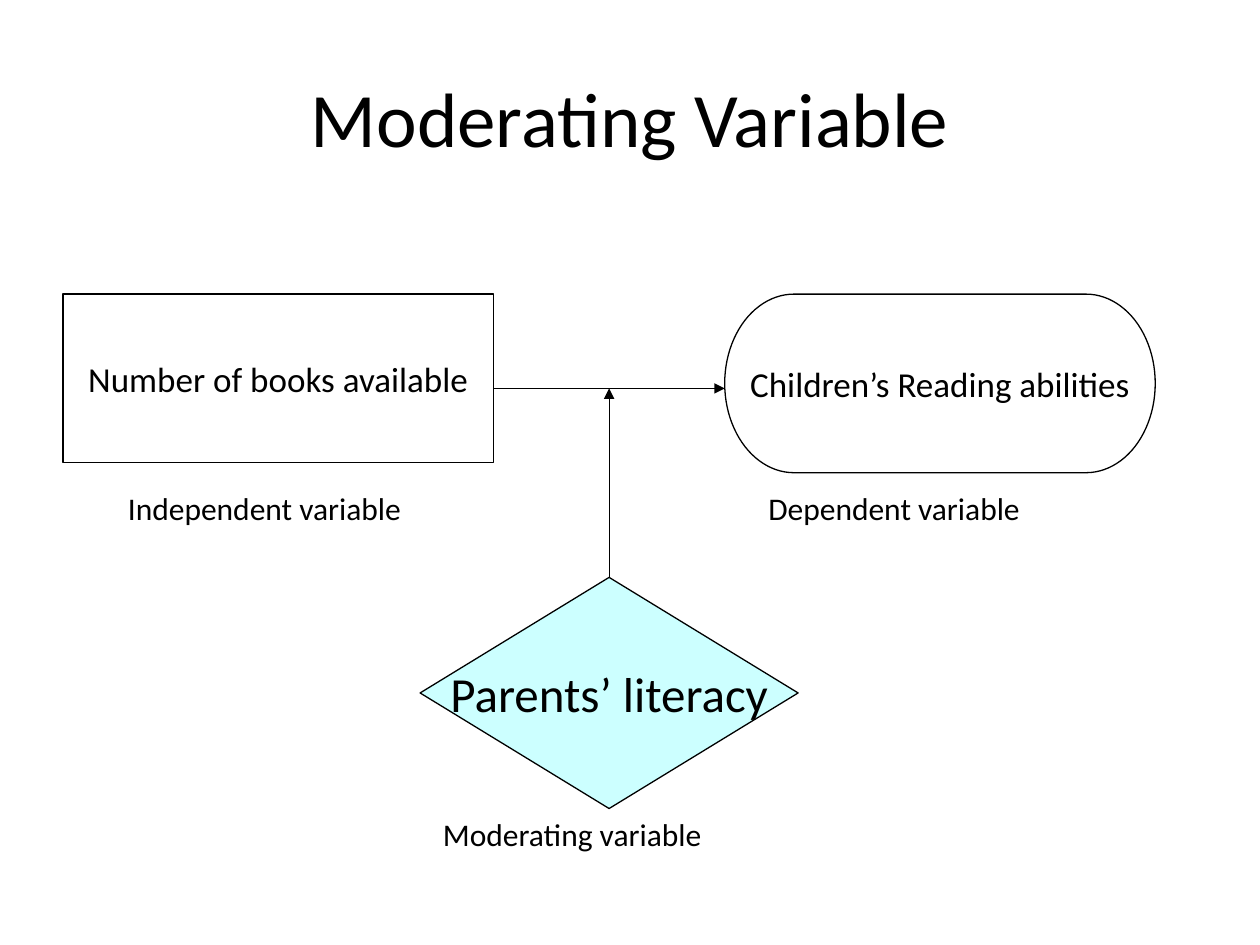
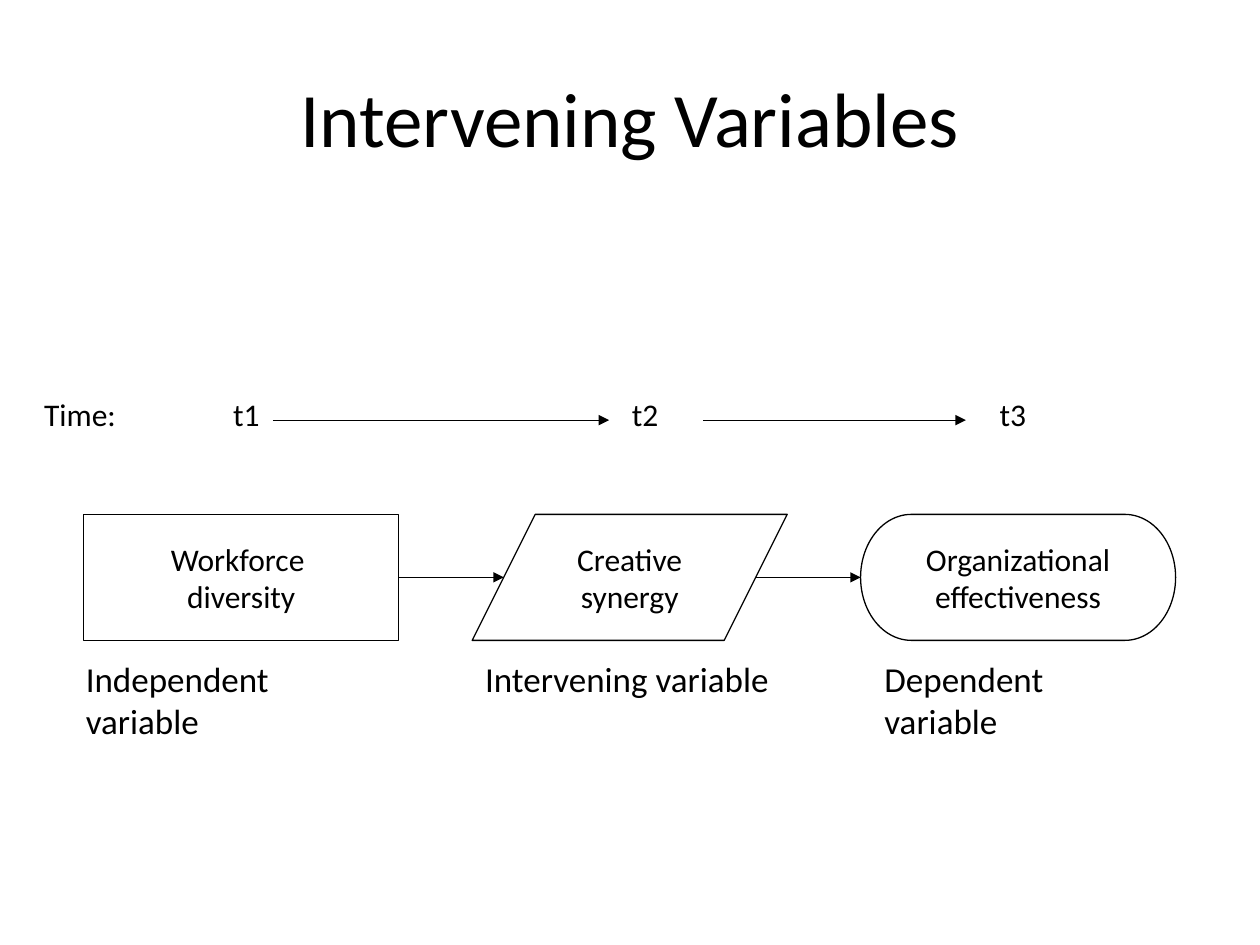
import dataclasses

import pptx
import pptx.dml.color
import pptx.enum.shapes
import pptx.enum.text
import pptx.oxml
import pptx.oxml.ns
import pptx.util

Cm = pptx.util.Cm
Pt = pptx.util.Pt
RGB = pptx.dml.color.RGBColor
Form = pptx.enum.shapes.MSO_SHAPE
Align = pptx.enum.text.PP_ALIGN
Anchor = pptx.enum.text.MSO_ANCHOR
Fit = pptx.enum.text.MSO_AUTO_SIZE

TOP, LEFT, RIGHT = 0, 1, 3


@dataclasses.dataclass(frozen=True)
class Theme:
    font: str = "Calibri"
    ink: RGB = RGB(0, 0, 0)
    paper: RGB = RGB(255, 255, 255)
    tint: RGB = RGB(0xCC, 0xFF, 0xFF)
    stroke: float = 0.75
    title: int = 44
    large: int = 28
    medium: int = 20
    small: int = 18


def write(frame, text, *, font, size, color, align=Align.LEFT,
          anchor=Anchor.TOP, wrap=True):
    """Fill a text frame, one paragraph for each line of text."""
    frame.word_wrap = wrap
    frame.vertical_anchor = anchor
    frame.text = text
    for para in frame.paragraphs:
        para.alignment = align
        para.font.name = font
        para.font.size = Pt(size)
        para.font.color.rgb = color


class Deck:
    def __init__(self, theme):
        self.theme = theme
        self.show = pptx.Presentation()
        self.show.slide_width = Cm(25.4)
        self.show.slide_height = Cm(19.05)
        self.slide = None

    def text(self, frame, text, size, **style):
        write(frame, text, font=self.theme.font, size=size,
              color=self.theme.ink, **style)

    def stroke(self, item):
        item.line.color.rgb = self.theme.ink
        item.line.width = Pt(self.theme.stroke)

    def page(self, title):
        self.slide = self.show.slides.add_slide(self.show.slide_layouts[5])
        fill = self.slide.background.fill
        fill.solid()
        fill.fore_color.rgb = self.theme.paper
        head = self.slide.shapes.title
        head.left, head.top = Cm(1.27), Cm(0.76)
        head.width, head.height = Cm(22.86), Cm(3.18)
        self.text(head.text_frame, title, self.theme.title,
                  align=Align.CENTER, anchor=Anchor.MIDDLE)

    def node(self, form, text, x, y, w, h, size, fill=None):
        shape = self.slide.shapes.add_shape(form, Cm(x), Cm(y), Cm(w), Cm(h))
        shape.shadow.inherit = False
        if fill is None:
            shape.fill.background()
        else:
            shape.fill.solid()
            shape.fill.fore_color.rgb = fill
        self.stroke(shape)
        self.text(shape.text_frame, text, size, align=Align.CENTER,
                  anchor=Anchor.MIDDLE, wrap=False)
        return shape

    def label(self, text, x, y, w, h, size):
        box = self.slide.shapes.add_textbox(Cm(x), Cm(y), Cm(w), Cm(h))
        self.text(box.text_frame, text, size)
        box.text_frame.auto_size = Fit.SHAPE_TO_FIT_TEXT

    def arrow(self, x1, y1, x2, y2, start=None, end=None):
        """Draw an arrow; start and end are (shape, side) pairs to join."""
        line = self.slide.shapes.add_connector(
            pptx.enum.shapes.MSO_CONNECTOR.STRAIGHT,
            Cm(x1), Cm(y1), Cm(x2), Cm(y2))
        self.stroke(line)
        tip = pptx.oxml.parse_xml(
            f'<a:tailEnd {pptx.oxml.ns.nsdecls("a")} type="triangle"/>')
        line.line._get_or_add_ln().append(tip)
        line._element.spPr.append(pptx.oxml.parse_xml(
            f'<a:effectLst {pptx.oxml.ns.nsdecls("a")}/>'))
        if start:
            line.begin_connect(*start)
        if end:
            line.end_connect(*end)


def moderate(deck):
    theme = deck.theme
    deck.page("Moderating Variable")
    top, wide, flow = 5.93, 8.68, 7.83
    cause, effect = 1.27, 14.61
    deck.node(Form.FLOWCHART_TERMINATOR, "Children’s Reading abilities",
              effect, top, wide, 3.6, theme.medium)
    deck.node(Form.FLOWCHART_PROCESS, "Number of books available",
              cause, top, wide, 3.39, theme.medium)
    deck.arrow(cause + wide, flow, effect, flow)
    factor = deck.node(Form.FLOWCHART_DECISION, "Parents’ literacy",
                       8.47, 11.64, 7.62, 4.66, theme.large, theme.tint)
    deck.arrow(12.28, 11.64, 12.28, flow, start=(factor, TOP))
    for role, x, y in (("Independent", 2.33, 9.74),
                       ("Dependent", 15.24, 9.74),
                       ("Moderating", 8.68, 16.3)):
        deck.label(f"{role} variable", x, y, 8.47, 1.27, theme.small)


def intervene(deck):
    theme = deck.theme
    deck.page("Intervening Variables")
    first, pitch, wide, top, high = 1.69, 7.83, 6.35, 10.37, 2.54
    steps = ((Form.FLOWCHART_PROCESS, "Workforce \ndiversity"),
             (Form.FLOWCHART_DATA, "Creative\nsynergy"),
             (Form.FLOWCHART_TERMINATOR, "Organizational\neffectiveness"))
    cause, middle, effect = [
        deck.node(form, text, first + i * pitch, top, wide, high, theme.small)
        for i, (form, text) in enumerate(steps)]

    # The slanted sides cross mid-height a tenth of the width inside the box.
    slant, flow = wide / 10, top + high / 2
    deck.arrow(first + wide, flow, first + pitch + slant, flow,
               start=(cause, RIGHT))
    deck.arrow(first + pitch + wide - slant, flow, first + 2 * pitch, flow,
               end=(effect, LEFT))

    roles = (("Independent", 6.56), ("Intervening", 6.56), ("Dependent", 6.14))
    for i, (role, width) in enumerate(roles):
        deck.label(f"{role} variable", 1.48 + i * 8.05, 13.12, width, 1.1,
                   theme.medium)

    for text, x, width in (("Time:", 0.64, 2.33), ("t1", 4.45, 1.27),
                           ("t2", 12.49, 1.27), ("t3", 19.9, 1.27)):
        deck.label(text, x, 7.83, width, 1.27, theme.small)
    for x1, x2 in ((5.5, 12.28), (14.18, 19.47)):
        deck.arrow(x1, 8.47, x2, 8.47)


def main():
    deck = Deck(Theme())
    moderate(deck)
    intervene(deck)
    deck.show.save("out.pptx")


if __name__ == "__main__":
    main()
